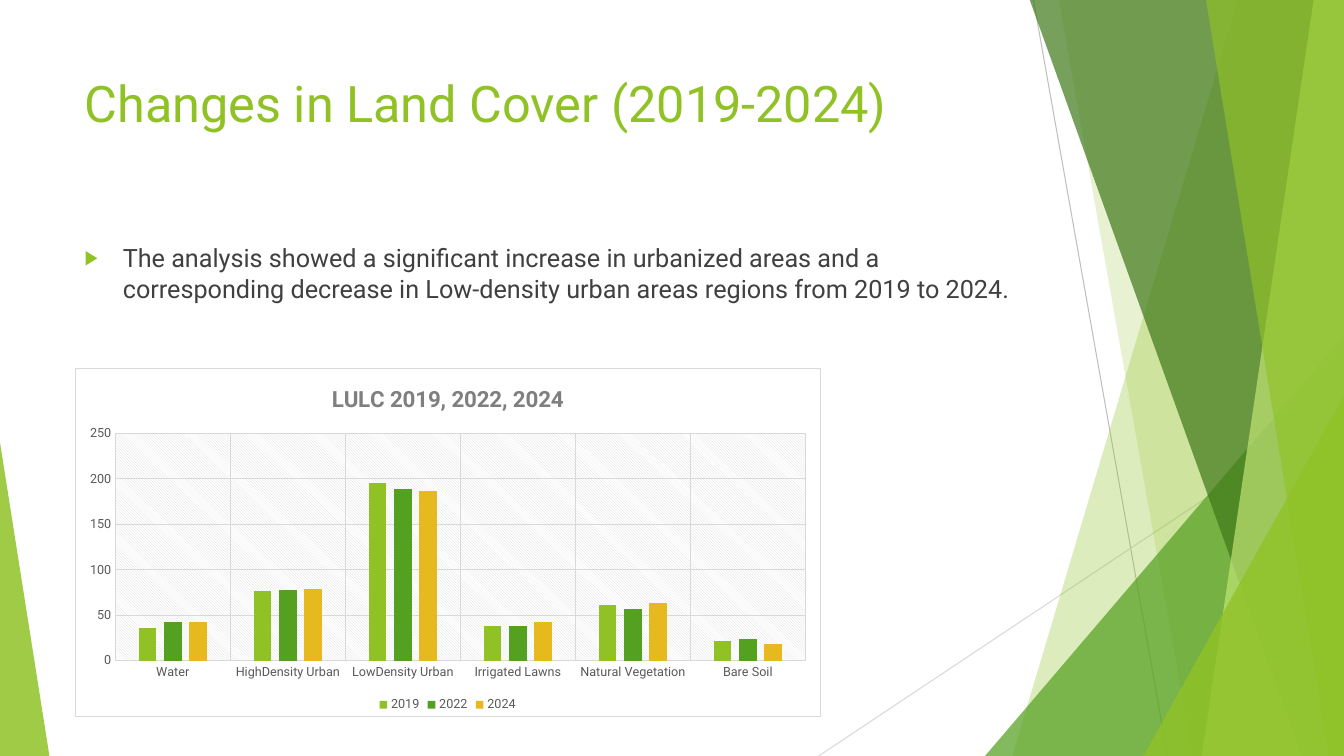
from lxml import etree
from pptx import Presentation
from pptx.chart.data import CategoryChartData
from pptx.dml.color import RGBColor
from pptx.enum.chart import XL_CHART_TYPE, XL_LEGEND_POSITION, XL_TICK_MARK
from pptx.enum.shapes import MSO_CONNECTOR, MSO_SHAPE
from pptx.enum.text import MSO_ANCHOR, PP_ALIGN
from pptx.oxml import parse_xml
from pptx.oxml.ns import nsdecls, qn
from pptx.util import Inches, Pt

CLUSTERED = XL_CHART_TYPE.COLUMN_CLUSTERED
LEGEND_BOTTOM = XL_LEGEND_POSITION.BOTTOM
NO_TICK = XL_TICK_MARK.NONE
STRAIGHT = MSO_CONNECTOR.STRAIGHT
TRIANGLE = MSO_SHAPE.ISOSCELES_TRIANGLE
TOP = MSO_ANCHOR.TOP
LEFT = PP_ALIGN.LEFT

LIME = RGBColor(0x90, 0xC2, 0x26)
GREEN = RGBColor(0x54, 0xA0, 0x21)
DARK_GREEN = RGBColor(0x3F, 0x78, 0x19)
PALE_LIME = RGBColor(0xC0, 0xE4, 0x74)
GOLD = RGBColor(0xE6, 0xB9, 0x1E)
TEXT = RGBColor(0x40, 0x40, 0x40)
CHART_TITLE = RGBColor(0x7F, 0x7F, 0x7F)
CHART_TEXT = RGBColor(0x59, 0x59, 0x59)
GRID = RGBColor(0xD9, 0xD9, 0xD9)
RULE = RGBColor(0xBF, 0xBF, 0xBF)
FONT = "Roboto"

WIDTH, HEIGHT, FACET_TOP = 13.33, 7.5, -0.01

TITLE = "Changes in Land Cover (2019-2024)"
FINDING = ("The analysis showed a significant increase in urbanized areas and a "
           "corresponding decrease in Low-density urban areas regions from 2019 to 2024.")
CHART_HEADING = "LULC 2019, 2022, 2024"
LAND_COVERS = ["Water", "HighDensity Urban", "LowDensity Urban",
               "Irrigated Lawns", "Natural Vegetation", "Bare Soil"]
YEARS = [
    ("2019", LIME, (36, 77, 196, 38, 61, 22)),
    ("2022", GREEN, (43, 78, 189, 38, 57, 24)),
    ("2024", GOLD, (42, 79, 187, 42, 63, 18)),
]

TITLE_BOX = (0.74, 0.67, 9.4, 1.44)
FINDING_BOX = (0.74, 2.36, 9.4, 4.24)
CHART_BOX = (0.74, 3.65, 7.4, 3.46)

# start, end, colour
RULES = [
    ((10.25, 0), (11.58, HEIGHT), RULE),
    ((WIDTH, 4.03), (8.12, HEIGHT), GRID),
]
# Bands reach the right edge: (left x at top, left x at bottom), colour, opacity
# Triangles: (left, top, width), apex position, colour, opacity
FACETS = [
    ("band", (12.28, 10.04), LIME, 30),
    ("band", (10.5, 11.83), LIME, 20),
    ("triangle", (9.77, 3.33, 3.56), 1, GREEN, 72),
    ("band", (10.21, 12.91), DARK_GREEN, 70),
    ("band", (13.03, 11.92), PALE_LIME, 70),
    ("band", (11.96, 13.18), LIME, 65),
    ("triangle", (11.34, 3.93, 1.99), 1, LIME, 80),
    ("triangle", (0, 4.39, 0.49), 0, LIME, 85),
]


def inches(values):
    return [Inches(value) for value in values]


def style_font(font, size, color, bold=False):
    font.name, font.size, font.bold = FONT, Pt(size), bold
    font.color.rgb = color


def style_line(line, color):
    line.color.rgb = color
    line.width = Pt(0.75)


def add_rule(shapes, start, end, color):
    rule = shapes.add_connector(STRAIGHT, *inches(start + end))
    style_line(rule.line, color)
    etree.SubElement(rule.element.spPr, qn("a:effectLst"))


def add_band(shapes, edge):
    top_x, bottom_x = edge
    builder = shapes.build_freeform(*inches((top_x, FACET_TOP)))
    corners = [(WIDTH, FACET_TOP), (WIDTH, HEIGHT), (bottom_x, HEIGHT)]
    builder.add_line_segments([inches(corner) for corner in corners], close=True)
    return builder.convert_to_shape()


def add_triangle(shapes, place, apex):
    left, top, width = place
    triangle = shapes.add_shape(TRIANGLE, *inches((left, top, width, HEIGHT - top)))
    triangle.adjustments[0] = apex
    return triangle


def add_backdrop(slide):
    shapes = slide.shapes.add_group_shape().shapes
    for rule in RULES:
        add_rule(shapes, *rule)
    for kind, *geometry, color, opacity in FACETS:
        facet = (add_band if kind == "band" else add_triangle)(shapes, *geometry)
        facet.shadow.inherit = False
        facet.line.fill.background()
        facet.fill.solid()
        facet.fill.fore_color.rgb = color
        color_element = facet.element.spPr.find(qn("a:solidFill"))[0]
        etree.SubElement(color_element, qn("a:alpha"), val=str(opacity * 1000))


def write_text(shape, text, size, color):
    frame = shape.text_frame
    frame.word_wrap = True
    frame.vertical_anchor = TOP
    paragraph = frame.paragraphs[0]
    paragraph.alignment = LEFT
    run = paragraph.add_run()
    run.text = text
    style_font(run.font, size, color)
    return paragraph


def add_title(slide):
    title = slide.shapes.title
    title.left, title.top, title.width, title.height = inches(TITLE_BOX)
    write_text(title, TITLE, 36, LIME)
    title.element.getparent().append(title.element)  # in front of the backdrop


def add_finding(slide):
    box = slide.shapes.add_textbox(*inches(FINDING_BOX))
    properties = write_text(box, FINDING, 18, TEXT)._p.get_or_add_pPr()
    indent = Inches(0.38)
    properties.set("marL", str(indent))
    properties.set("indent", str(-indent))
    bullet_color = etree.SubElement(properties, qn("a:buClr"))
    etree.SubElement(bullet_color, qn("a:srgbClr"), val=str(LIME))
    etree.SubElement(properties, qn("a:buSzPct"), val="80000")
    etree.SubElement(properties, qn("a:buFont"), typeface="Arial")
    etree.SubElement(properties, qn("a:buChar"), char="▶")


def style_chart_areas(chart):
    """Give the chart a white framed ground and the plot a hatched one."""
    frame = parse_xml(
        f'<c:spPr {nsdecls("c", "a")}>'
        '<a:solidFill><a:srgbClr val="FFFFFF"/></a:solidFill>'
        f'<a:ln w="{Pt(0.75)}"><a:solidFill><a:srgbClr val="{GRID}"/></a:solidFill></a:ln>'
        '</c:spPr>')
    hatch = parse_xml(
        f'<c:spPr {nsdecls("c", "a")}><a:pattFill prst="ltDnDiag">'
        f'<a:fgClr><a:srgbClr val="{GRID}"/></a:fgClr>'
        '<a:bgClr><a:srgbClr val="FFFFFF"/></a:bgClr>'
        '</a:pattFill><a:ln><a:noFill/></a:ln></c:spPr>')
    chart_element = chart.element.find(qn("c:chart"))
    chart_element.addnext(frame)
    chart_element.find(qn("c:plotArea")).append(hatch)


def add_land_cover_chart(slide):
    data = CategoryChartData()
    data.categories = LAND_COVERS
    for year, _, areas in YEARS:
        data.add_series(year, areas)
    chart = slide.shapes.add_chart(CLUSTERED, *inches(CHART_BOX), data).chart
    style_font(chart.font, 10, CHART_TEXT)

    chart.has_title = True
    run = chart.chart_title.text_frame.paragraphs[0].add_run()
    run.text = CHART_HEADING
    style_font(run.font, 16, CHART_TITLE, bold=True)
    chart.chart_title.include_in_layout = False

    chart.has_legend = True
    chart.legend.position = LEGEND_BOTTOM
    chart.legend.include_in_layout = False
    style_font(chart.legend.font, 9, CHART_TEXT)

    for axis in (chart.category_axis, chart.value_axis):
        axis.major_tick_mark = axis.minor_tick_mark = NO_TICK
        axis.has_major_gridlines = True
        style_line(axis.major_gridlines.format.line, GRID)
        style_font(axis.tick_labels.font, 9, CHART_TEXT)
    style_line(chart.category_axis.format.line, GRID)
    chart.value_axis.format.line.fill.background()
    chart.value_axis.minimum_scale, chart.value_axis.maximum_scale = 0, 250
    chart.value_axis.major_unit = 50

    plot = chart.plots[0]
    plot.gap_width, plot.overlap, plot.vary_by_categories = 267, -43, False
    for series, (_, color, _) in zip(plot.series, YEARS):
        series.format.fill.solid()
        series.format.fill.fore_color.rgb = color
    style_chart_areas(chart)


def main():
    presentation = Presentation()
    presentation.slide_width, presentation.slide_height = inches((WIDTH, HEIGHT))
    slide = presentation.slides.add_slide(presentation.slide_layouts[5])
    add_backdrop(slide)
    add_title(slide)
    add_finding(slide)
    add_land_cover_chart(slide)
    presentation.save("out.pptx")


if __name__ == "__main__":
    main()
